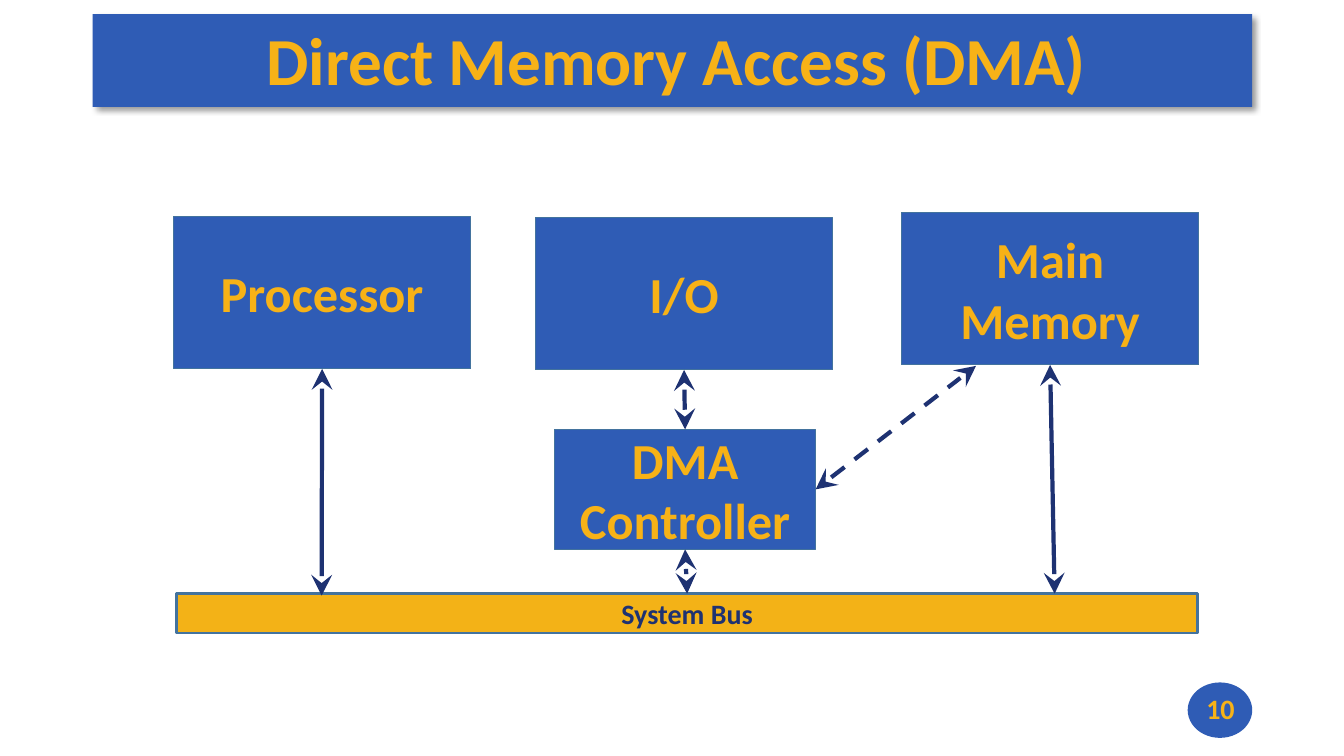
from lxml import etree
from pptx import Presentation
from pptx.dml.color import RGBColor
from pptx.enum.dml import MSO_LINE
from pptx.enum.shapes import MSO_CONNECTOR, MSO_SHAPE
from pptx.enum.text import MSO_ANCHOR, MSO_AUTO_SIZE, PP_ALIGN
from pptx.oxml import parse_xml
from pptx.oxml.ns import nsdecls, qn
from pptx.util import Inches, Pt

BLUE = RGBColor(0x2F, 0x5C, 0xB5)
GOLD = RGBColor(0xF7, 0xB2, 0x17)
BUS_GOLD = RGBColor(0xF3, 0xB2, 0x17)
NAVY = RGBColor(0x1E, 0x32, 0x72)
OUTLINE = RGBColor(0x43, 0x73, 0x9E)

TOP, BOTTOM, RIGHT = 0, 2, 3  # connection sites of a rectangle

BANNER_SHADOW = (
    f'<a:effectLst {nsdecls("a")}>'
    '<a:outerShdw blurRad="50800" dist="38100" dir="2700000" algn="tl" rotWithShape="0">'
    '<a:srgbClr val="000000"><a:alpha val="40000"/></a:srgbClr>'
    '</a:outerShdw></a:effectLst>'
)


def write(shape, text, size, color=GOLD, margins=(0.1, 0.05, 0.1, 0.05)):
    """Fill a shape with centred bold text, one paragraph per line."""
    frame = shape.text_frame
    frame.text = text
    frame.word_wrap = True
    frame.auto_size = MSO_AUTO_SIZE.NONE
    frame.vertical_anchor = MSO_ANCHOR.MIDDLE
    (frame.margin_left, frame.margin_top,
     frame.margin_right, frame.margin_bottom) = map(Inches, margins)
    for para in frame.paragraphs:
        para.alignment = PP_ALIGN.CENTER
        for span in para.runs:
            span.font.name = "Calibri"
            span.font.size = Pt(size)
            span.font.bold = True
            span.font.color.rgb = color


def add_box(slide, left, top, width, height, kind=MSO_SHAPE.RECTANGLE,
            fill=BLUE, line_width=None):
    box = slide.shapes.add_shape(
        kind, Inches(left), Inches(top), Inches(width), Inches(height))
    box.shadow.inherit = False
    box.fill.solid()
    box.fill.fore_color.rgb = fill
    if line_width:
        box.line.color.rgb = OUTLINE
        box.line.width = Pt(line_width)
    else:
        box.line.fill.background()
    return box


def add_arrow(slide, start, end, dashed=False):
    """Draw a double arrow; each end is a point or a (box, site) pair."""
    arrow = slide.shapes.add_connector(MSO_CONNECTOR.STRAIGHT, 0, 0, 0, 0)
    arrow.begin_x, arrow.begin_y = locate(start)
    arrow.end_x, arrow.end_y = locate(end)
    if hasattr(start[0], "shape_id"):
        arrow.begin_connect(*start)
    if hasattr(end[0], "shape_id"):
        arrow.end_connect(*end)
    arrow.line.color.rgb = NAVY
    arrow.line.width = Pt(3)
    if dashed:
        arrow.line.dash_style = MSO_LINE.DASH
    line = arrow.line._get_or_add_ln()
    for tag in ("a:headEnd", "a:tailEnd"):
        etree.SubElement(line, qn(tag), type="stealth", w="lg", len="lg")
    etree.SubElement(arrow.element.spPr, qn("a:effectLst"))


def locate(end):
    """Give the point of an arrow end in slide units."""
    if not hasattr(end[0], "shape_id"):
        return Inches(end[0]), Inches(end[1])
    box, site = end
    x = box.left + (box.width if site == RIGHT else box.width // 2)
    y = box.top + {TOP: 0, BOTTOM: box.height, RIGHT: box.height // 2}[site]
    return x, y


def add_title(slide, left, top, width, height):
    banner = add_box(slide, left, top, width, height)
    properties = banner.element.spPr
    properties.remove(properties.find(qn("a:effectLst")))
    properties.append(parse_xml(BANNER_SHADOW))

    title = slide.shapes.title
    title.left, title.top = Inches(left), Inches(top - 0.02)
    title.width, title.height = Inches(width), Inches(height)
    write(title, "Direct Memory Access (DMA)", 48, margins=(0.08, 0.03, 0, 0.03))
    banner.element.addnext(title.element)  # title in front of its banner


def add_diagram(slide, left, top, width, height):
    # Units along the top
    units = []
    for text, x, y in (("Processor", 0, 0.04),
                       ("I/O", 3.59, 0.05),
                       ("Main Memory", 7.22, 0)):
        unit = add_box(slide, left + x, top + y, 2.95, 1.51, line_width=0.85)
        write(unit, text, 36)
        units.append(unit)
    processor, io_unit, memory = units

    # Controller and bus
    controller = add_box(slide, left + 3.78, top + 2.15, 2.59, 1.19, line_width=0.85)
    write(controller, "DMA\nController", 36)
    bus_top = top + height - 0.39
    bus = add_box(slide, left + 0.03, bus_top, width - 0.04, 0.39,
                  fill=BUS_GOLD, line_width=2)
    write(bus, "System Bus", 20, color=NAVY)

    # Data paths
    add_arrow(slide, (processor, BOTTOM), (left + 1.47, bus_top + 0.02))
    add_arrow(slide, (controller, TOP), (io_unit, BOTTOM))
    add_arrow(slide, (left + 8.74, bus_top), (memory, BOTTOM))
    add_arrow(slide, (bus, TOP), (controller, BOTTOM))
    add_arrow(slide, (controller, RIGHT), (left + 7.96, top + 1.52), dashed=True)


def add_page_number(slide, left, top, width, height):
    add_box(slide, left, top, width, height, kind=MSO_SHAPE.OVAL)
    label = slide.shapes.add_textbox(
        Inches(left), Inches(top), Inches(width + 0.01), Inches(height - 0.03))
    write(label, "10", 20)


def main():
    deck = Presentation()
    deck.slide_width, deck.slide_height = Inches(13.33), Inches(7.5)
    slide = deck.slides.add_slide(deck.slide_layouts[5])
    add_title(slide, 0.92, 0.14, 11.5, 0.92)
    add_page_number(slide, 11.78, 6.77, 0.64, 0.55)
    add_diagram(slide, 1.72, 2.11, 10.17, 4.17)
    deck.save("out.pptx")


if __name__ == "__main__":
    main()
